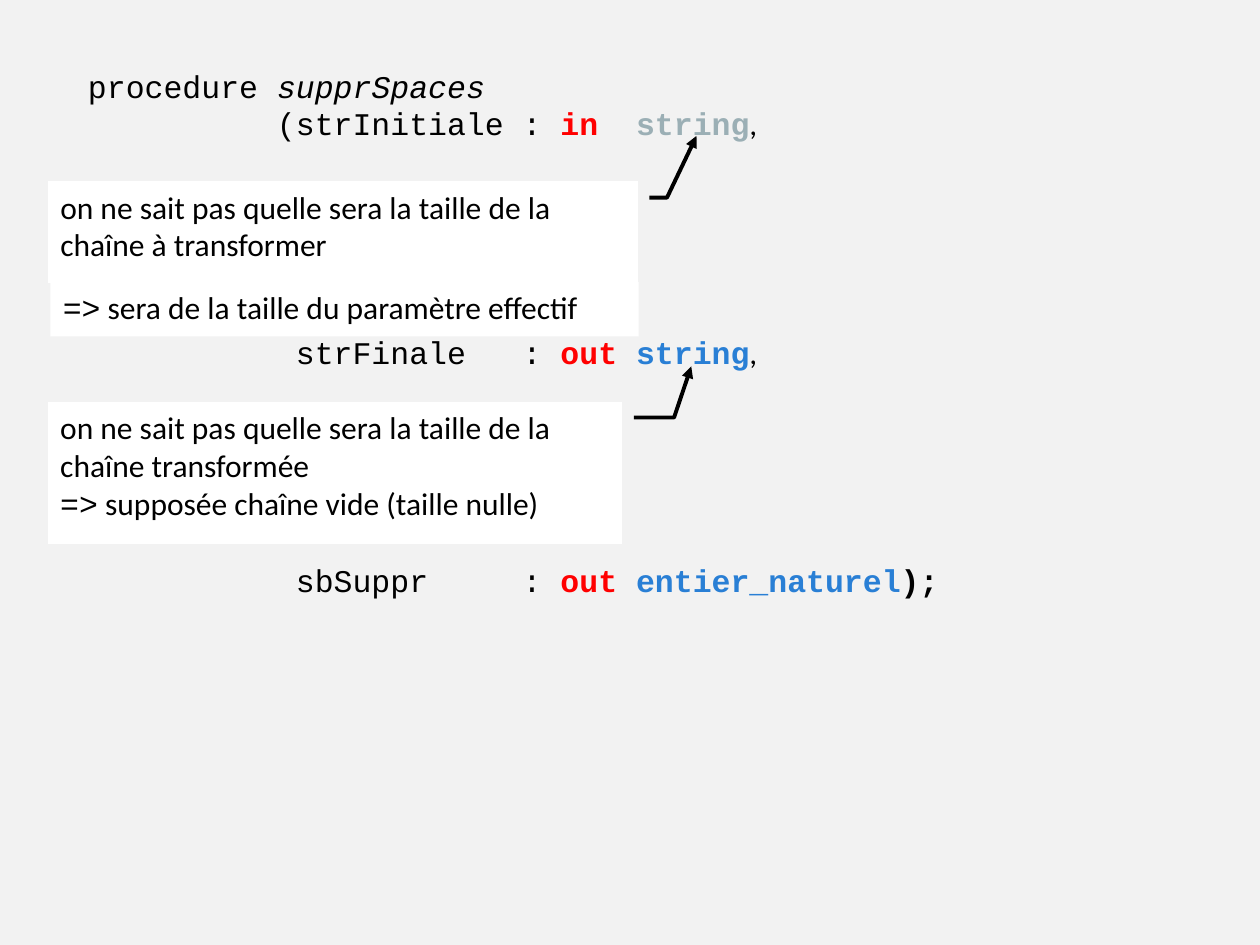
from lxml import etree
from pptx import Presentation
from pptx import util as u
from pptx.dml.color import RGBColor
from pptx.enum import shapes, text
from pptx.oxml import ns

CODE, PROSE = "Courier New", "Calibri"
BLACK, WHITE, RED, BLUE, GREY = "000000", "FFFFFF", "FF0000", "297FD5", "9BAFB5"
SIZE = 18
COLUMN = u.Pt(0.6 * SIZE)  # width of one Courier New character

presentation = Presentation()
presentation.slide_width, presentation.slide_height = u.Inches(10), u.Inches(7.5)


def colour(hex_string):
    """Turn a hex string into a colour."""
    return RGBColor.from_string(hex_string)


def place(left, top, width, height):
    """Turn percentages of the slide into a box."""
    across, down = presentation.slide_width, presentation.slide_height
    return [int(share * side / 100) for share, side in
            ((left, across), (top, down), (width, across), (height, down))]


def add_run(paragraph, words, font=PROSE, ink=BLACK, bold=False, italic=False):
    """Add one formatted run."""
    run = paragraph.add_run()
    run.text = words
    run.font.name, run.font.size = font, u.Pt(SIZE)
    run.font.bold, run.font.italic = bold, italic
    run.font.color.rgb = colour(ink)


def fill_frame(frame, lines):
    """Write lines, each a list of run arguments, and return the paragraphs."""
    frame.word_wrap = True
    frame.vertical_anchor = text.MSO_ANCHOR.TOP
    for number, runs in enumerate(lines):
        paragraph = frame.paragraphs[0] if number == 0 else frame.add_paragraph()
        paragraph.alignment = text.PP_ALIGN.LEFT
        for run in runs:
            add_run(paragraph, *run)
    return frame.paragraphs


def set_tabs(paragraph, columns):
    """Put left tab stops at the given character columns."""
    tabs = etree.SubElement(paragraph._p.get_or_add_pPr(), ns.qn("a:tabLst"))
    for column in columns:
        etree.SubElement(tabs, ns.qn("a:tab"), pos=str(column * COLUMN), algn="l")


def add_procedure(slide, box):
    """Add the procedure heading with its parameters aligned in columns."""
    parameters = [
        (10, "(strInitiale", "in", ("string", CODE, GREY, True), (",",)),
        (11, "strFinale", "out", ("string", CODE, BLUE, True), (",",)),
        (11, "sbSuppr", "out", ("entier_naturel", CODE, BLUE, True),
         (");", CODE, BLACK, True)),
    ]
    lines = [[("procedure ", CODE), ("supprSpaces", CODE, BLACK, False, True)]]
    for _, name, mode, kind, ending in parameters:
        lines.append([(f"\t{name}\t:\t", CODE), (f"{mode}\t", CODE, RED, True),
                      kind, ending])
    paragraphs = fill_frame(slide.shapes.add_textbox(*box).text_frame, lines)
    for paragraph, parameter in zip(paragraphs[1:], parameters):
        set_tabs(paragraph, (parameter[0], 23, 25, 29))
    for paragraph in paragraphs[2:]:
        paragraph.space_before = u.Pt(109)


def add_note(slide, box, lines, pointer=None):
    """Add a white note; a pointer gives the bends of its arrow."""
    kind = shapes.MSO_SHAPE
    preset = kind.LINE_CALLOUT_2_NO_BORDER if pointer else kind.RECTANGLE
    shape = slide.shapes.add_shape(preset, *box)
    shape.shadow.inherit = False
    shape.fill.solid()
    shape.fill.fore_color.rgb = colour(WHITE)
    if pointer:
        for index, value in enumerate(pointer):
            shape.adjustments[index] = value
        shape.line.color.rgb = colour(BLACK)
        shape.line.width = u.Pt(2.25)
        etree.SubElement(shape.line._get_or_add_ln(), ns.qn("a:tailEnd"),
                         type="triangle")
    else:
        shape.line.fill.background()
    fill_frame(shape.text_frame, lines)


def build_slide():
    """Build the slide with the procedure and its notes."""
    slide = presentation.slides.add_slide(presentation.slide_layouts[6])
    slide.background.fill.solid()
    slide.background.fill.fore_color.rgb = colour("F2F2F2")
    unknown_size = [("on ne sait pas quelle sera la taille de la ",)]
    implies = ("=>", CODE)
    add_procedure(slide, place(6, 6.4, 70.3, 57.9))
    add_note(slide, place(3.8, 19.2, 46.8, 10.7),
             [unknown_size, [("chaîne à transformer",)]],
             (0.16, 1.02, 0.16, 1.05, -0.45, 1.1))
    add_note(slide, place(3.8, 42.53, 45.6, 15.07),
             [unknown_size, [("chaîne transformée ",)],
              [implies, (" supposée chaîne vide (taille nulle)",)]],
             (0.11, 1.02, 0.11, 1.09, -0.25, 1.12))
    add_note(slide, place(4, 29.87, 46.7, 5.73),
             [[implies, (" sera de la taille du paramètre effectif",)]])


build_slide()
presentation.save("out.pptx")
